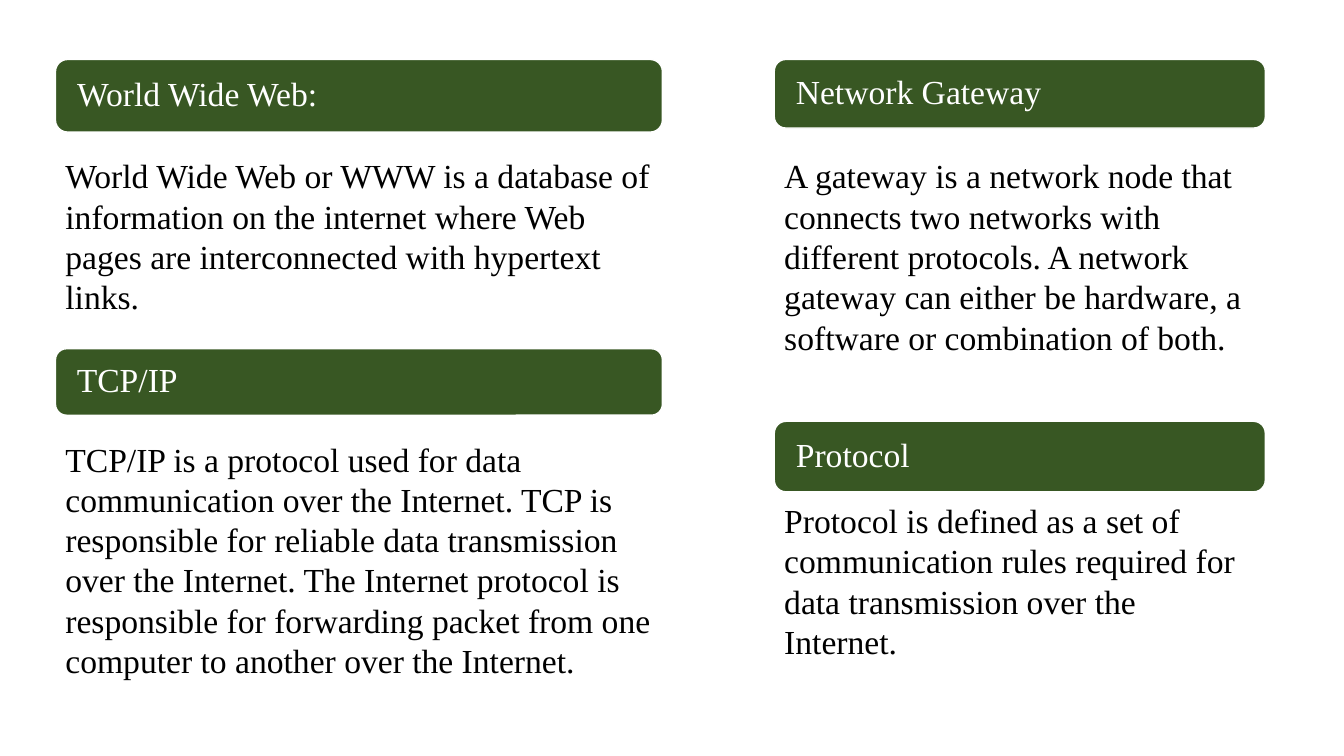
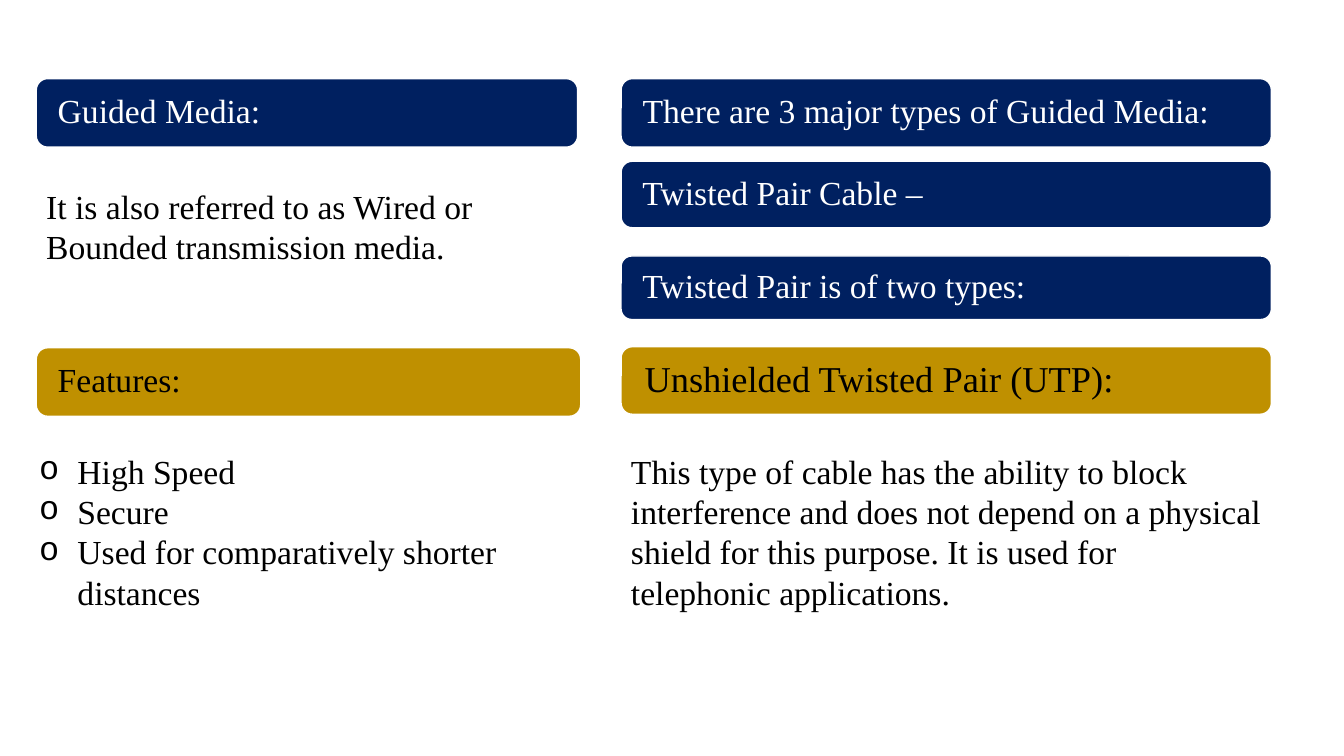
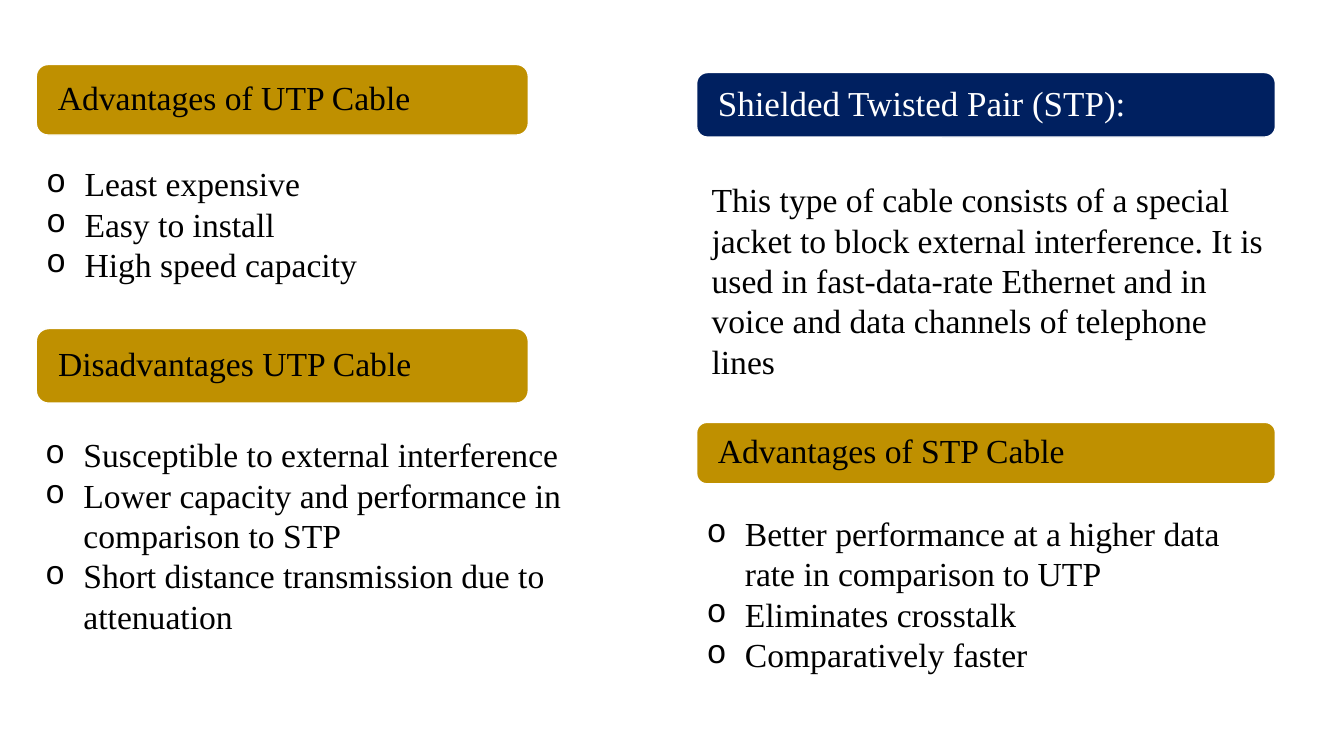
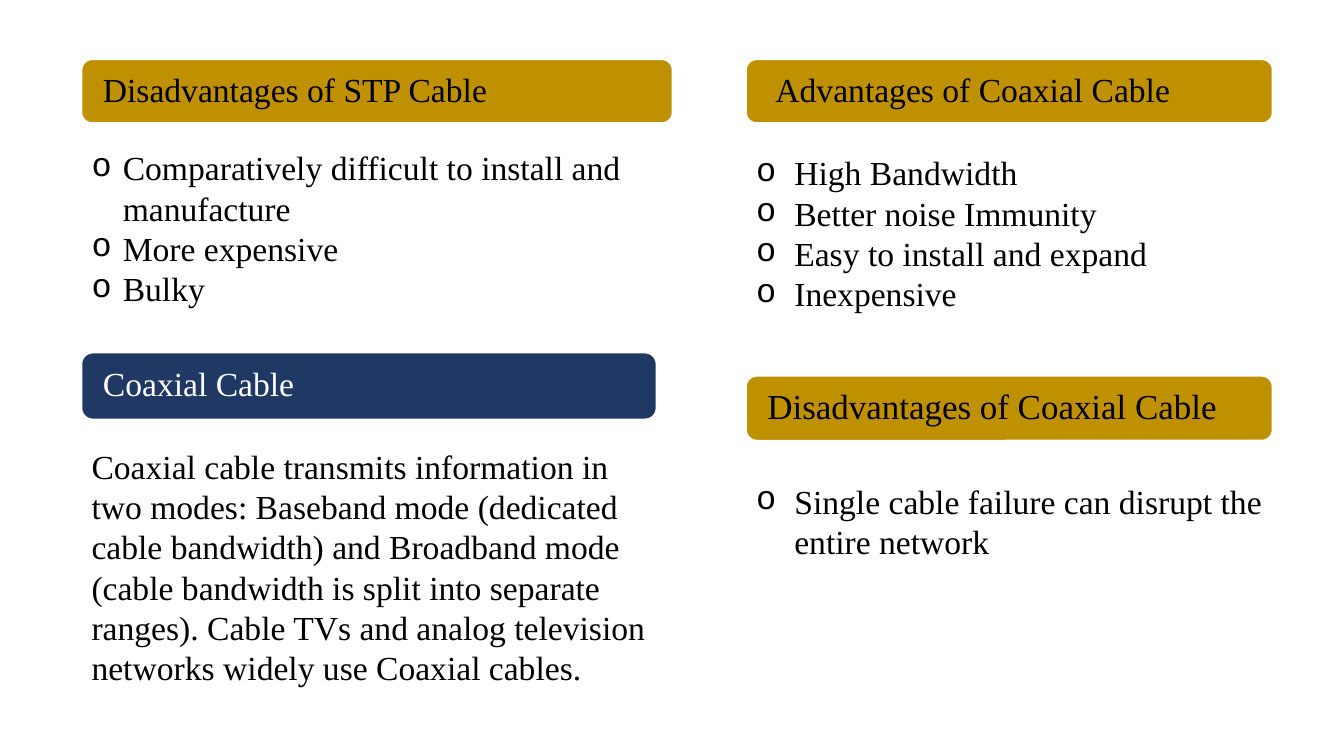
from dataclasses import dataclass

from lxml import etree
from pptx import Presentation
from pptx.dml import color
from pptx.enum import shapes, text
from pptx.oxml import ns
from pptx.util import Inches, Pt


@dataclass(frozen=True)
class Theme:
    font: str = "Times New Roman"
    bullet_font: str = "Courier New"
    size: int = 24
    green: str = "385723"
    navy: str = "002060"
    slate: str = "203864"
    gold: str = "BF9000"
    white: str = "FFFFFF"
    black: str = "000000"
    band_inset: float = 0.18
    line_height: float = 0.4
    box_padding: float = 0.11


@dataclass(frozen=True)
class Band:
    left: float
    top: float
    width: float
    height: float
    fill: str
    heading: str
    size: int = Theme.size
    inset: float = Theme.band_inset


@dataclass(frozen=True)
class Body:
    left: float
    top: float
    width: float
    lines: int
    paragraphs: tuple
    indent: float = 0


theme = Theme()

slides = [
    [
        Band(0.55, 0.59, 6.02, 0.72, theme.green, "World Wide Web:"),
        Body(0.55, 1.49, 6.02, 4, (
            "World Wide Web or WWW is a database of information on the internet "
            "where Web pages are interconnected with hypertext links.",)),
        Band(0.55, 3.46, 6.02, 0.66, theme.green, "TCP/IP"),
        Body(0.55, 4.3, 6.02, 6, (
            "TCP/IP is a protocol used for data communication over the Internet. "
            "TCP is responsible for reliable data transmission over the Internet. "
            "The Internet protocol is responsible for forwarding packet from one "
            "computer to another over the Internet.",)),
        Band(7.68, 0.59, 4.87, 0.68, theme.green, "Network Gateway"),
        Body(7.68, 1.49, 4.87, 5, (
            "A gateway is a network node that connects two networks with different "
            "protocols. A network gateway can either be hardware, a software or "
            "combination of both.",)),
        Band(7.68, 4.18, 4.87, 0.7, theme.green, "Protocol"),
        Body(7.68, 4.91, 4.87, 4, (
            "Protocol is defined as a set of communication rules required for data "
            "transmission over the Internet.",)),
    ],
    [
        Band(0.36, 0.78, 5.37, 0.68, theme.navy, "Guided Media:"),
        Body(0.36, 1.79, 5.4, 2, (
            "It is also referred to as Wired or Bounded transmission media.",)),
        Band(0.36, 3.45, 5.4, 0.68, theme.gold, "Features:"),
        Body(0.29, 4.42, 5.44, 4, (
            "High Speed", "Secure", "Used for comparatively shorter distances"), 0.38),
        Band(6.16, 0.78, 6.45, 0.68, theme.navy, "There are 3 major types of Guided Media:"),
        Band(6.16, 1.6, 6.45, 0.66, theme.navy, "Twisted Pair Cable –"),
        Band(6.16, 2.54, 6.45, 0.63, theme.navy, "Twisted Pair is of two types:"),
        Band(6.16, 3.44, 6.45, 0.67, theme.gold, "Unshielded Twisted Pair (UTP):", 26, 0.2),
        Body(6.16, 4.42, 6.45, 4, (
            "This type of cable has the ability to block interference and does not "
            "depend on a physical shield for this purpose. It is used for telephonic "
            "applications.",)),
    ],
    [
        Band(0.36, 0.64, 4.88, 0.7, theme.gold, "Advantages of UTP Cable"),
        Body(0.36, 1.57, 4.88, 3, (
            "Least expensive", "Easy to install", "High speed capacity"), 0.38),
        Band(0.36, 3.26, 4.88, 0.74, theme.gold, "Disadvantages UTP Cable"),
        Body(0.35, 4.26, 5.96, 5, (
            "Susceptible to external interference",
            "Lower capacity and performance in comparison to STP",
            "Short distance transmission due to attenuation"), 0.38),
        Band(6.91, 0.72, 5.74, 0.64, theme.navy, "Shielded Twisted Pair (STP):", 25),
        Body(6.96, 1.73, 5.74, 5, (
            "This type of cable consists of a special jacket to block external "
            "interference. It is used in fast-data-rate Ethernet and in voice and "
            "data channels of telephone lines",)),
        Band(6.91, 4.19, 5.74, 0.61, theme.gold, "Advantages of STP Cable"),
        Body(6.91, 5.04, 5.74, 4, (
            "Better performance at a higher data rate in comparison to UTP",
            "Eliminates crosstalk", "Comparatively faster"), 0.38),
    ],
    [
        Band(0.81, 0.59, 5.86, 0.63, theme.gold, "Disadvantages of STP Cable"),
        Body(0.81, 1.41, 5.86, 4, (
            "Comparatively difficult to install and manufacture",
            "More expensive", "Bulky"), 0.31),
        Band(0.81, 3.5, 5.7, 0.66, theme.slate, "Coaxial Cable"),
        Body(0.81, 4.37, 5.7, 6, (
            "Coaxial cable transmits information in two modes: Baseband mode "
            "(dedicated cable bandwidth) and Broadband mode (cable bandwidth is split "
            "into separate ranges). Cable TVs and analog television networks widely "
            "use Coaxial cables.",)),
        Band(7.4, 0.59, 5.22, 0.63, theme.gold, "Advantages of Coaxial Cable", inset=0.26),
        Body(7.4, 1.46, 5.22, 4, (
            "High Bandwidth", "Better noise Immunity",
            "Easy to install and expand", "Inexpensive"), 0.38),
        Band(7.4, 3.73, 5.22, 0.64, theme.gold, "Disadvantages of Coaxial Cable", 25),
        Body(7.4, 4.72, 5.22, 2, (
            "Single cable failure can disrupt the entire network",), 0.38),
    ],
]


def write(paragraph, words, size, font_color):
    paragraph.text = words
    paragraph.alignment = text.PP_ALIGN.LEFT
    paragraph.font.name = theme.font
    paragraph.font.size = Pt(size)
    paragraph.font.color.rgb = color.RGBColor.from_string(font_color)


def add_bullet(paragraph, indent):
    properties = paragraph._p.get_or_add_pPr()
    properties.set("marL", str(Inches(indent)))
    properties.set("indent", str(-Inches(indent)))
    etree.SubElement(properties, ns.qn("a:buFont"), typeface=theme.bullet_font)
    etree.SubElement(properties, ns.qn("a:buChar"), char="o")


presentation = Presentation()
presentation.slide_width = Inches(13.33)
presentation.slide_height = Inches(7.5)
blank_layout = presentation.slide_layouts[6]

for blocks in slides:
    slide = presentation.slides.add_slide(blank_layout)
    for block in blocks:
        left, top, width = Inches(block.left), Inches(block.top), Inches(block.width)
        if isinstance(block, Band):
            band = slide.shapes.add_shape(
                shapes.MSO_SHAPE.ROUNDED_RECTANGLE, left, top, width, Inches(block.height))
            band.shadow.inherit = False
            band.fill.solid()
            band.fill.fore_color.rgb = color.RGBColor.from_string(block.fill)
            band.line.color.rgb = color.RGBColor.from_string(theme.white)
            band.line.width = Pt(1)
            frame = band.text_frame
            frame.vertical_anchor = text.MSO_ANCHOR.MIDDLE
            frame.margin_left = Inches(block.inset)
            heading = frame.paragraphs[0]
            heading_color = theme.black if block.fill == theme.gold else theme.white
            write(heading, block.heading, block.size, heading_color)
            heading.line_spacing = 0.9
        else:
            height = Inches(block.lines * theme.line_height + theme.box_padding)
            frame = slide.shapes.add_textbox(left, top, width, height).text_frame
            frame.word_wrap = True
            frame.auto_size = text.MSO_AUTO_SIZE.SHAPE_TO_FIT_TEXT
            for number, words in enumerate(block.paragraphs):
                paragraph = frame.add_paragraph() if number else frame.paragraphs[0]
                write(paragraph, words, theme.size, theme.black)
                if block.indent:
                    add_bullet(paragraph, block.indent)

presentation.save("out.pptx")
